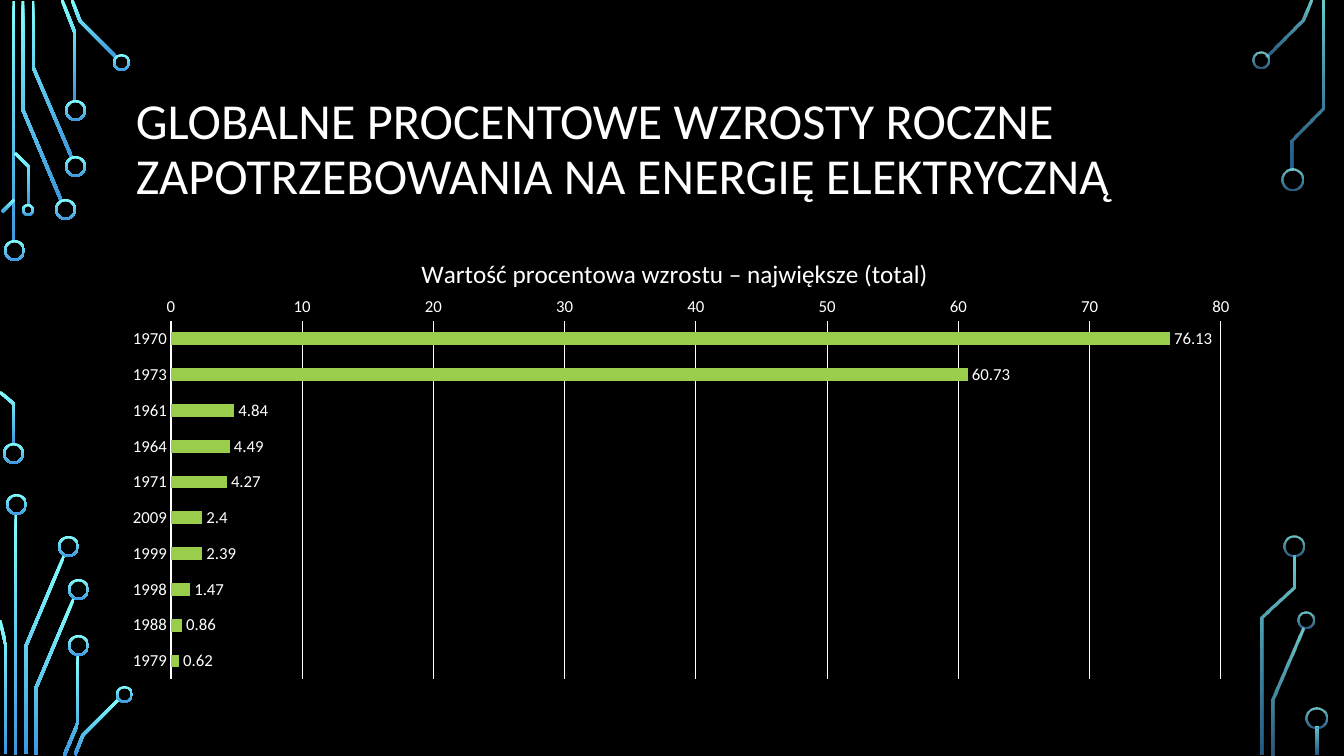
from math import hypot

from lxml import etree
from pptx import Presentation
from pptx import util as u
from pptx.chart.data import CategoryChartData
from pptx.dml.color import RGBColor
from pptx.enum import chart as ch, shapes, text
from pptx.oxml.ns import qn

# Content
TITLE = "GLOBALNE PROCENTOWE WZROSTY ROCZNE ZAPOTRZEBOWANIA NA ENERGIĘ ELEKTRYCZNĄ"
HEAD = "Wartość procentowa wzrostu – największe (total)"
GROWTH = {
    "1970": 76.13, "1973": 60.73, "1961": 4.84, "1964": 4.49, "1971": 4.27,
    "2009": 2.4, "1999": 2.39, "1998": 1.47, "1988": 0.86, "1979": 0.62,
}
FONT, WHITE, BLACK, GREEN = "Calibri", "FFFFFF", "000000", "9ACD4C"
GLOW = ("82FFFF", "3D97DE")
SOLID, FADED = (100, 100), (80, 60)

# Circuit traces: centre lines in px
LEFT_WIRES = [
    [(14, 1), (14, 242)],
    [(23, 1), (23, 110), (61, 200)],
    [(33, 1), (33, 67), (72, 158)],
    [(62, 0), (75, 33), (75, 101)],
    [(72, 0), (80, 21), (116, 57)],
    [(2, 212), (14, 200)],
    [(0, 392), (14, 404), (14, 444)],
    [(15, 153), (29, 167), (29, 205)],
    [(16, 514), (16, 755)],
    [(26, 754), (26, 646), (64, 556)],
    [(0, 620), (6, 646), (6, 754)],
    [(36, 755), (36, 688), (74, 598)],
    [(64, 756), (78, 723), (78, 655)],
    [(75, 755), (83, 735), (119, 699)],
]
RIGHT_WIRES = [
    [(1267, 56), (1303, 20), (1311, 0)],
    [(1273, 755), (1273, 699), (1303, 628)],
    [(1292, 170), (1292, 140), (1323, 108), (1323, 1)],
    [(1262, 755), (1262, 618), (1294, 588), (1294, 556)],
    [(1317, 727), (1317, 755)],
]
# Circuit nodes: left, top, diameter in px
LEFT_NODES = [
    (4, 240, 21), (3, 443, 21), (55, 199, 21), (65, 156, 21), (65, 100, 21),
    (113, 54, 17), (22, 204, 12), (6, 494, 21), (58, 536, 21), (68, 579, 21),
    (68, 635, 21), (116, 686, 17),
]
RIGHT_NODES = [
    (1253, 52, 17), (1282, 169, 21), (1298, 612, 17), (1283, 536, 21),
    (1306, 708, 21),
]
WIRE, RIM = 3, 2

# Chart frame, plot area and heading in px
FRAME = (111, 231, 1141, 457)
PLOT = (171, 321, 1050, 358)
HEAD_AT = (417, 252)


def px(n):
    return round(n * 914400 / 100.8)


def rgb(code):
    return RGBColor.from_string(code)


def style(font, size, color=WHITE):
    font.name, font.size, font.bold = FONT, u.Pt(size), False
    font.color.rgb = rgb(color)


def write(frame, words, size, color=WHITE, space=None):
    para = frame.paragraphs[0]
    para.line_spacing = space
    run = para.add_run()
    run.text = words
    style(run.font, size, color)


def paint(shape, alphas):
    shape.shadow.inherit = False
    shape.line.fill.background()
    shape.fill.gradient()
    shape.fill.gradient_angle = 270
    for stop, color, pos in zip(shape.fill.gradient_stops, GLOW, (0, 1)):
        stop.color.rgb, stop.position = rgb(color), pos
    for node, alpha in zip(shape.element.spPr.iter(qn("a:srgbClr")), alphas):
        if alpha < 100:
            etree.SubElement(node, qn("a:alpha"), val=str(alpha * 1000))


def edge(points, half):
    """Shift a line sideways by half its width, with mitred corners."""
    norms = []
    for (x1, y1), (x2, y2) in zip(points, points[1:]):
        size = hypot(x2 - x1, y2 - y1)
        norms.append(((y1 - y2) / size, (x2 - x1) / size))
    out = []
    for (x, y), (ax, ay), (bx, by) in zip(points, norms[:1] + norms, norms + norms[-1:]):
        k = half / (1 + ax * bx + ay * by)
        out.append((px(x + k * (ax + bx)), px(y + k * (ay + by))))
    return out


def wire(points, alphas):
    ring = edge(points, WIRE / 2) + edge(points, -WIRE / 2)[::-1]
    form = slide.shapes.build_freeform(*ring[0], scale=1.0)
    form.add_line_segments(ring[1:], close=True)
    paint(form.convert_to_shape(), alphas)


def node(x, y, size, alphas):
    ring = slide.shapes.add_shape(
        shapes.MSO_SHAPE.DONUT, px(x), px(y), px(size), px(size))
    ring.adjustments[0] = RIM / size
    paint(ring, alphas)


def place(parent, index, inner=False, **spots):
    """Give a chart part a fixed place, as shares of the frame."""
    for old in parent.findall(qn("c:layout")):
        parent.remove(old)
    layout = etree.Element(qn("c:layout"))
    manual = etree.SubElement(layout, qn("c:manualLayout"))
    if inner:
        etree.SubElement(manual, qn("c:layoutTarget"), val="inner")
    for tag in ("xMode", "yMode"):
        etree.SubElement(manual, qn("c:" + tag), val="edge")
    for tag, share in spots.items():
        etree.SubElement(manual, qn("c:" + tag), val=f"{share:.4f}")
    parent.insert(index, layout)


deck = Presentation()
deck.slide_width, deck.slide_height = px(1344), px(756)
slide = deck.slides.add_slide(deck.slide_layouts[6])
slide.background.fill.solid()
slide.background.fill.fore_color.rgb = rgb(BLACK)

# Circuit decoration on both sides
for wires, nodes, alphas in ((LEFT_WIRES, LEFT_NODES, SOLID),
                             (RIGHT_WIRES, RIGHT_NODES, FADED)):
    for points in wires:
        wire(points, alphas)
    for spot in nodes:
        node(*spot, alphas)

# Title
box = slide.shapes.add_textbox(px(126), px(69), px(1092), px(163)).text_frame
box.word_wrap = True
box.vertical_anchor = text.MSO_ANCHOR.MIDDLE
write(box, TITLE, 36, space=0.9)

# Bar chart
data = CategoryChartData()
data.categories = list(GROWTH)
data.add_series("Series 1", list(GROWTH.values()))
chart = slide.shapes.add_chart(
    ch.XL_CHART_TYPE.BAR_CLUSTERED, *map(px, FRAME), data).chart
chart.has_legend = False
style(chart.font, 10)
write(chart.chart_title.text_frame, HEAD, 18)

bars = chart.plots[0]
bars.gap_width, bars.vary_by_categories = 182, False
fill = bars.series[0].format.fill
fill.solid()
fill.fore_color.rgb = rgb(GREEN)
bars.has_data_labels = True
tags = bars.data_labels
tags.show_value, tags.position = True, ch.XL_LABEL_POSITION.OUTSIDE_END
style(tags.font, 12)

# Axes
years, scale = chart.category_axis, chart.value_axis
for axis in (years, scale):
    axis.major_tick_mark = axis.minor_tick_mark = ch.XL_TICK_MARK.NONE
    style(axis.tick_labels.font, 12)
years.reverse_order = True
scale.minimum_scale, scale.maximum_scale, scale.major_unit = 0, 80, 10
scale.has_major_gridlines = True
scale.format.line.fill.background()
for line in (years.format.line, scale.major_gridlines.format.line):
    line.color.rgb, line.width = rgb(WHITE), u.Pt(0.75)

# Fixed places inside the frame
left, top, wide, high = FRAME
place(chart.element.find(".//" + qn("c:plotArea")), 0, inner=True,
      x=(PLOT[0] - left) / wide, y=(PLOT[1] - top) / high,
      w=PLOT[2] / wide, h=PLOT[3] / high)
place(chart.element.find(".//" + qn("c:title")), 1,
      x=(HEAD_AT[0] - left) / wide, y=(HEAD_AT[1] - top) / high)

deck.save("out.pptx")
